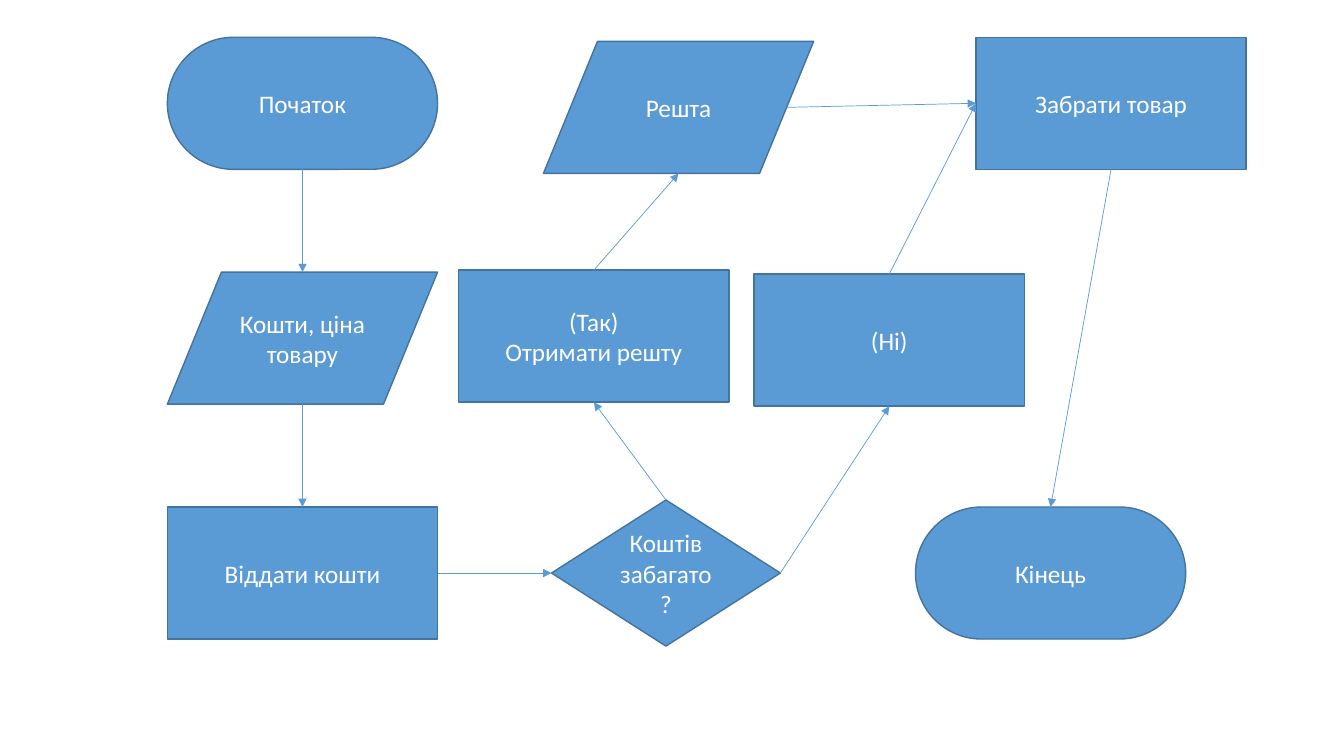
from dataclasses import dataclass

from lxml import etree
from pptx import Presentation
from pptx import util as u
from pptx.dml.color import RGBColor
from pptx.enum import shapes, text
from pptx.oxml import ns

TERMINAL = shapes.MSO_SHAPE.ROUNDED_RECTANGLE
DATA = shapes.MSO_SHAPE.FLOWCHART_DATA
PROCESS = shapes.MSO_SHAPE.RECTANGLE
DECISION = shapes.MSO_SHAPE.FLOWCHART_DECISION
TOP, LEFT, BOTTOM, RIGHT = range(4)


@dataclass(frozen=True)
class Theme:
    """Colours, type and line widths of the slide."""
    fill: RGBColor = RGBColor(0x5B, 0x9B, 0xD5)
    outline: RGBColor = RGBColor(0x43, 0x73, 0x9E)
    ink: RGBColor = RGBColor(0xFF, 0xFF, 0xFF)
    font: str = "Calibri"
    size: u.Pt = u.Pt(18)
    border: u.Pt = u.Pt(1)
    arrow: u.Pt = u.Pt(0.5)


THEME = Theme()
NODE_SIZE = (2.68, 1.31)
DECISION_SIZE = (2.27, 1.45)
NODES = {
    "start": (TERMINAL, 0, 0, "Початок"),
    "money": (DATA, 0, 2.33, "Кошти, ціна товару"),
    "pay": (PROCESS, 0, 4.66, "Віддати кошти"),
    "excess": (DECISION, 3.81, 4.59, "Коштів забагато?"),
    "yes": (PROCESS, 2.89, 2.31, "(Так)\nОтримати решту"),
    "no": (PROCESS, 5.82, 2.35, "(Ні)"),
    "change": (DATA, 3.73, 0.04, "Решта"),
    "take": (PROCESS, 8.02, 0, "Забрати товар"),
    "end": (TERMINAL, 7.42, 4.66, "Кінець"),
}
FLOWS = [
    ("start", BOTTOM, "money", TOP),
    ("money", BOTTOM, "pay", TOP),
    ("pay", RIGHT, "excess", LEFT),
    ("excess", TOP, "yes", BOTTOM),
    ("excess", RIGHT, "no", BOTTOM),
    ("yes", TOP, "change", BOTTOM),
    ("change", RIGHT, "take", LEFT),
    ("no", TOP, "take", LEFT),
    ("take", BOTTOM, "end", TOP),
]


def add_node(s, kind, left, top, label):
    """Draw one labelled flowchart block."""
    w, h = DECISION_SIZE if kind == DECISION else NODE_SIZE
    sp = s.shapes.add_shape(kind, left, top, u.Inches(w), u.Inches(h))
    sp.shadow.inherit = False
    if kind == TERMINAL:
        sp.adjustments[0] = 0.5
    sp.fill.solid()
    sp.fill.fore_color.rgb = THEME.fill
    sp.line.color.rgb = THEME.outline
    sp.line.width = THEME.border
    tf = sp.text_frame
    tf.text = label
    tf.word_wrap = True
    tf.vertical_anchor = text.MSO_ANCHOR.MIDDLE
    for p in tf.paragraphs:
        p.alignment = text.PP_ALIGN.CENTER
        for r in p.runs:
            for name, value in {"name": THEME.font, "size": THEME.size}.items():
                setattr(r.font, name, value)
            r.font.color.rgb = THEME.ink
    return sp


def side_point(sp, side):
    """Return the middle of a block's side, allowing for slanted edges."""
    slant = 0.1 if sp.auto_shape_type == DATA else 0
    fx, fy = {TOP: (0.5, 0), LEFT: (slant, 0.5),
              BOTTOM: (0.5, 1), RIGHT: (1 - slant, 0.5)}[side]
    return int(sp.left + sp.width * fx), int(sp.top + sp.height * fy)


def add_flow(s, source, out_side, target, in_side):
    """Draw an arrow between two blocks, joined where their sides are straight."""
    cx = s.shapes.add_connector(
        shapes.MSO_CONNECTOR.STRAIGHT,
        *side_point(source, out_side), *side_point(target, in_side))
    if source.auto_shape_type != DATA:
        cx.begin_connect(source, out_side)
    if target.auto_shape_type != DATA:
        cx.end_connect(target, in_side)
    cx.line.color.rgb = THEME.fill
    cx.line.width = THEME.arrow
    etree.SubElement(cx.line._get_or_add_ln(), ns.qn("a:tailEnd"), type="triangle")
    etree.SubElement(cx._element.spPr, ns.qn("a:effectLst"))


def add_flowchart(s, left, top):
    """Place all blocks and arrows from the given corner."""
    blocks = {
        name: add_node(s, kind, left + u.Inches(x), top + u.Inches(y), label)
        for name, (kind, x, y, label) in NODES.items()
    }
    for source, out_side, target, in_side in FLOWS:
        add_flow(s, blocks[source], out_side, blocks[target], in_side)


def main():
    """Build and save the slide."""
    prs = Presentation()
    prs.slide_width, prs.slide_height = u.Inches(13.33), u.Inches(7.5)
    s = prs.slides.add_slide(prs.slide_layouts[6])
    add_flowchart(s, u.Inches(1.66), u.Inches(0.37))
    prs.save("out.pptx")


if __name__ == "__main__":
    main()
